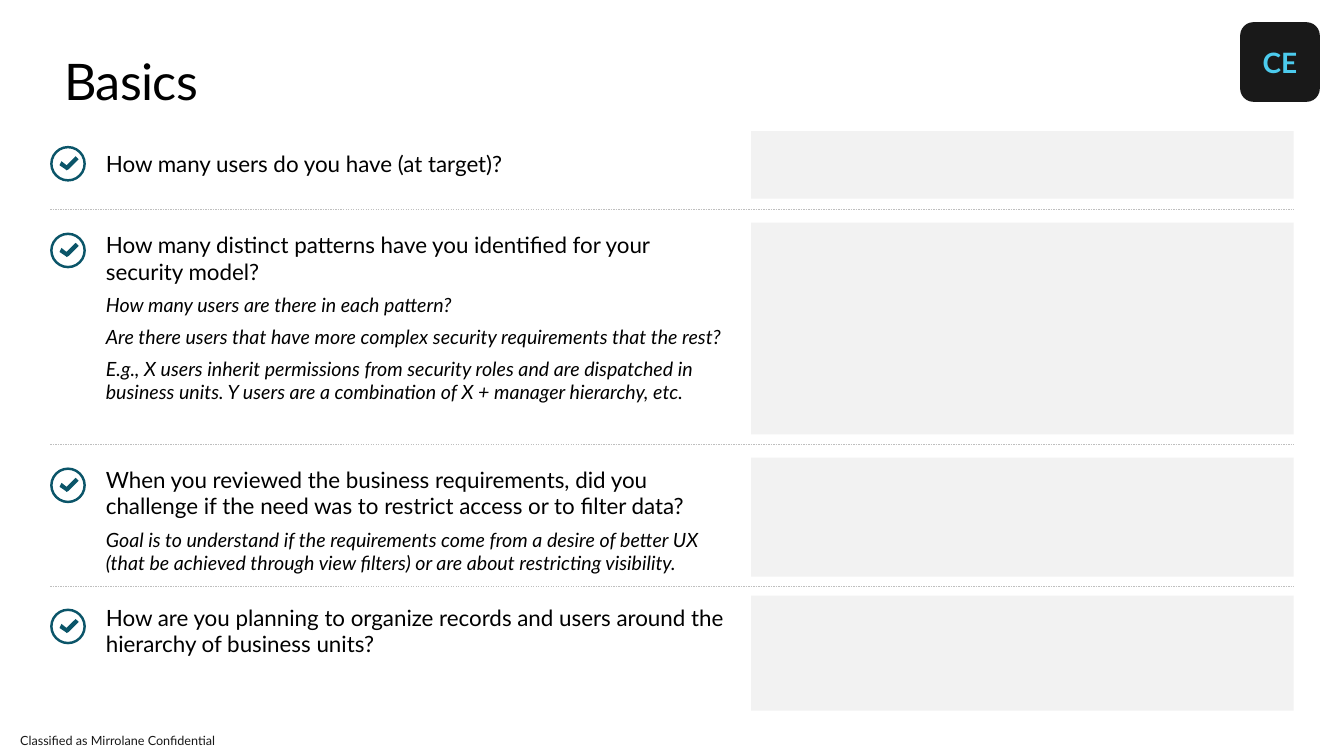
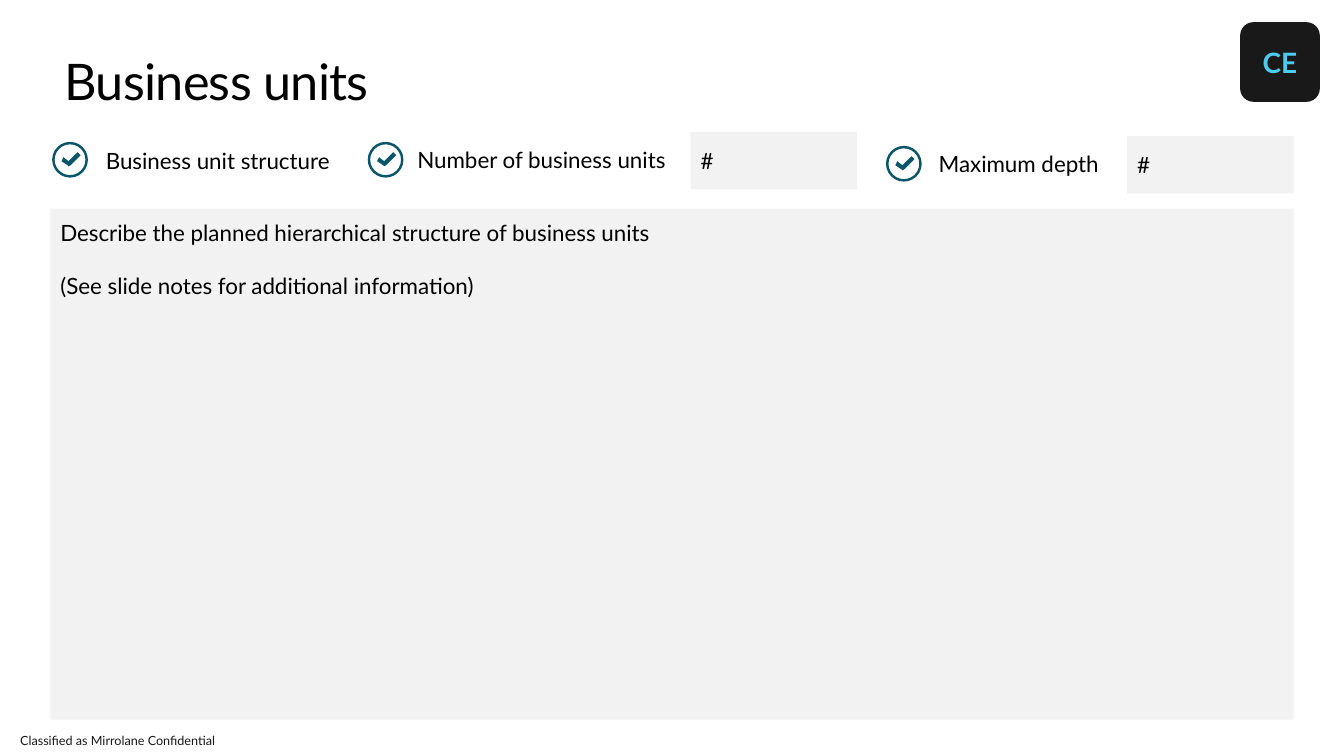
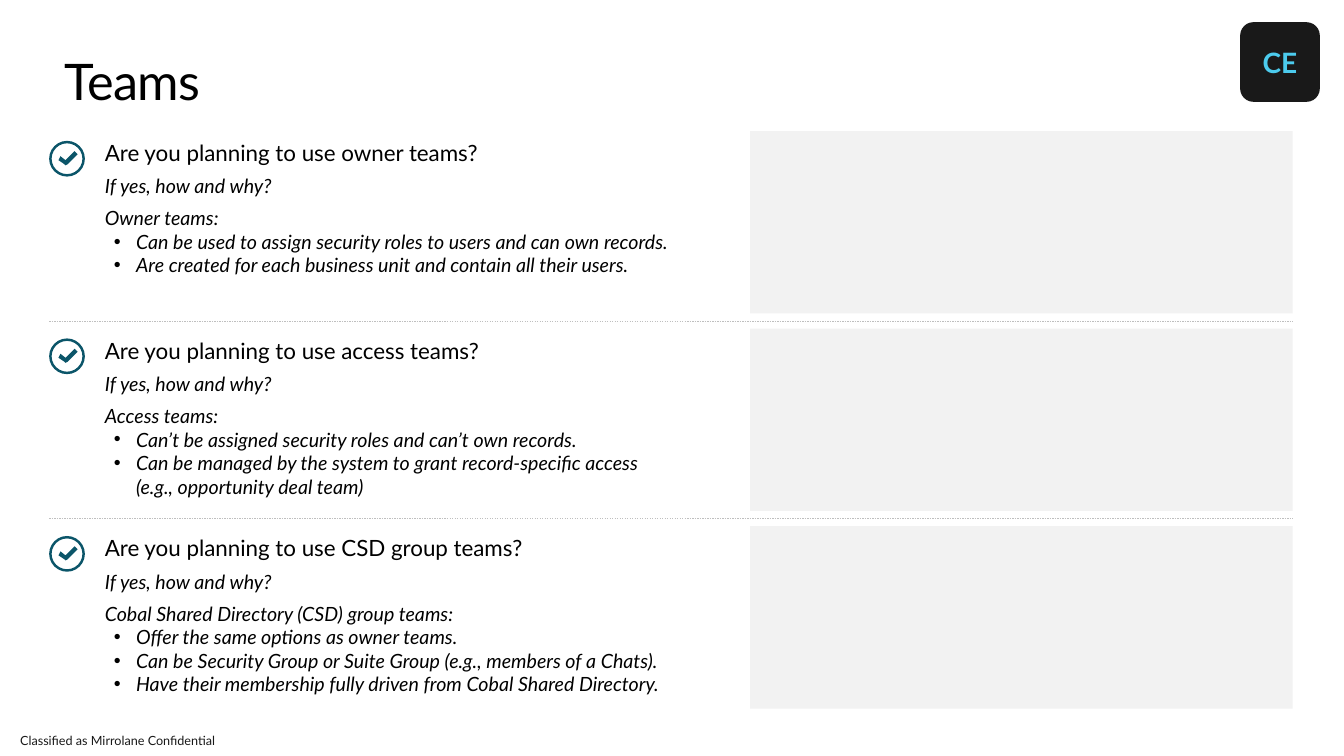
"""Build three security model questionnaire slides: basics, business units and teams."""
from copy import deepcopy

from lxml.etree import SubElement
from pptx import Presentation
from pptx.dml.color import RGBColor
from pptx.enum.dml import MSO_LINE
from pptx.enum.shapes import MSO_CONNECTOR, MSO_SHAPE
from pptx.enum.text import MSO_ANCHOR, PP_ALIGN
from pptx.oxml.ns import qn
from pptx.util import Inches, Pt

BLACK, DARK, TEAL, CYAN = "000000", "191919", "0B5569", "4CCBED"
PANEL, RULE = "F2F2F2", "BFBFBF"
TOP, MIDDLE = MSO_ANCHOR.TOP, MSO_ANCHOR.MIDDLE

HINT_FONT = {"size": Pt(14), "italic": True}
STYLES = {
    "title": ({"size": Pt(36)}, {}, BLACK),
    "footer": ({"size": Pt(9)}, {"line_spacing": 0.9}, DARK),
    "badge": ({"size": Pt(20), "bold": True}, {"alignment": PP_ALIGN.CENTER}, CYAN),
    "question": ({"size": Pt(16)}, {}, BLACK),
    "spaced": ({"size": Pt(16)}, {"space_before": Pt(19)}, BLACK),
    "hint": (HINT_FONT, {"space_before": Pt(6)}, BLACK),
    "bullet": (HINT_FONT, {}, BLACK),
}


def paint(fill, color):
    """Give a shape, line or font fill one solid colour."""
    fill.solid()
    fill.fore_color.rgb = RGBColor.from_string(color)


def add_box(slide, position, paragraphs=(), color=None, anchor=TOP,
            margins=(0.08, 0.08, 0.08, 0.08), outline=MSO_SHAPE.RECTANGLE):
    """Add a text box, or a filled shape when a colour is given."""
    place = [Inches(length) for length in position]
    if color:
        shape = slide.shapes.add_shape(outline, *place)
        shape.shadow.inherit = False
        shape.line.fill.background()
        paint(shape.fill, color)
    else:
        shape = slide.shapes.add_textbox(*place)
    frame = shape.text_frame
    frame.word_wrap = True
    frame.vertical_anchor = anchor
    for side, margin in zip(("left", "top", "right", "bottom"), margins):
        setattr(frame, f"margin_{side}", Inches(margin))
    for index, (style, text) in enumerate(paragraphs):
        paragraph = frame.add_paragraph() if index else frame.paragraphs[0]
        paragraph.text = text
        font_format, paragraph_format, text_color = STYLES[style]
        for name, value in ({"alignment": PP_ALIGN.LEFT} | paragraph_format).items():
            setattr(paragraph, name, value)
        for run in paragraph.runs:
            for name, value in ({"name": "Lato"} | font_format).items():
                setattr(run.font, name, value)
            paint(run.font.fill, text_color)
            if style == "title":
                run.font._element.set("spc", "-50")
        for line_break in paragraph._p.findall(qn("a:br")):
            line_break.append(deepcopy(paragraph.runs[0].font._element))
        if style == "bullet":
            properties = paragraph._p.get_or_add_pPr()
            properties.set("marL", str(Inches(0.31)))
            properties.set("indent", str(Inches(-0.22)))
            SubElement(properties, qn("a:buFont")).set("typeface", "Arial")
            SubElement(properties, qn("a:buChar")).set("char", "•")


presentation = Presentation()
presentation.slide_width = Inches(13.33)
presentation.slide_height = Inches(7.5)

slides = []
for title in ("Basics", "Business units", "Teams"):
    slide = presentation.slides.add_slide(presentation.slide_layouts[6])
    add_box(slide, (0.64, 0.5, 11.4, 0.61), [("title", title)], margins=(0, 0, 0, 0))
    add_box(slide, (0.2, 7.29, 2.32, 0.14), [("footer", "Classified as Mirrolane Confidential")],
            anchor=MIDDLE, margins=(0, 0, 0, 0))
    add_box(slide, (12.3, 0.22, 0.79, 0.79), [("badge", "CE")], DARK, MIDDLE,
            (0, 0, 0, 0), MSO_SHAPE.ROUNDED_RECTANGLE)
    slides.append(slide)
basics, units, teams = slides

basics_rows = [
    (1.3, 0.15, 0.65, 0.67, MIDDLE, [("question", "How many users do you have (at target)?")]),
    (2.21, 0.1, 1.54, 2.1, TOP, [
        ("question", "How many distinct patterns have you identified for your \nsecurity model?"),
        ("hint", "How many users are there in each pattern?"),
        ("hint", "Are there users that have more complex security requirements that the rest?"),
        ("hint", "E.g., X users inherit permissions from security roles and are dispatched in "
                 "business units. Y users are a combination of X + manager hierarchy, etc.")]),
    (4.54, 0.1, 1.26, 1.18, TOP, [
        ("question", "When you reviewed the business requirements, did you challenge if the need "
                     "was to restrict access or to filter data?"),
        ("hint", "Goal is to understand if the requirements come from a desire of better UX "
                 "(that be achieved through view filters) or are about restricting visibility.")]),
    (5.91, 0.13, 1.1, 1.14, TOP, [
        ("question", "How are you planning to organize records and users around the hierarchy "
                     "of business units?")]),
]

team_questions = [
    ("owner", "Owner", [
        "Can be used to assign security roles to users and can own records.",
        "Are created for each business unit and contain all their users."]),
    ("access", "Access", [
        "Can’t be assigned security roles and can’t own records.",
        "Can be managed by the system to grant record-specific access \n"
        "(e.g., opportunity deal team)"]),
    ("CSD group", "Cobal Shared Directory (CSD) group", [
        "Offer the same options as owner teams.",
        "Can be Security Group or Suite Group (e.g., members of a Chats).",
        "Have their membership fully driven from Cobal Shared Directory."]),
]
team_rows = []
for index, (kind, heading, facts) in enumerate(team_questions):
    paragraphs = [("question", f"Are you planning to use {kind} teams?"),
                  ("hint", "If yes, how and why?"), ("hint", f"{heading} teams:")]
    paragraphs += [("bullet", fact) for fact in facts]
    team_rows.append((1.3 + 1.96 * index, 0.1, 1.81, 1.81, TOP, paragraphs))

checks = []
for slide, left, rows, rules in (
        (basics, 0.5, basics_rows, (2.08, 4.41, 5.82)),
        (teams, 0.49, team_rows, (3.19, 5.14))):
    for top, check_drop, text_height, answer_height, anchor, paragraphs in rows:
        add_box(slide, (left + 0.47, top, 6.48, text_height), paragraphs, anchor=anchor)
        add_box(slide, (left + 6.95, top, 5.38, answer_height), color=PANEL)
        checks.append((slide, left, top + check_drop))
    for rule_top in rules:
        rule = slide.shapes.add_connector(
            MSO_CONNECTOR.STRAIGHT, Inches(left), Inches(rule_top),
            Inches(left + 12.33), Inches(rule_top))
        paint(rule.line.fill, RULE)
        rule.line.width = Pt(0.25)
        rule.line.dash_style = MSO_LINE.DASH
        SubElement(rule._element.spPr, qn("a:effectLst"))

for label, position, check_left, check_top in (
        ("Business unit structure", (0.97, 1.3, 2.53, 0.59), 0.52, 1.41),
        ("Number of business units", (4.06, 1.3, 2.74, 0.57), 3.65, 1.41),
        ("Maximum depth", (9.23, 1.35, 1.95, 0.54), 8.79, 1.45)):
    add_box(units, position, [("question", label)], anchor=MIDDLE)
    checks.append((units, check_left, check_top))
for left, top in ((6.85, 1.31), (11.18, 1.35)):
    add_box(units, (left, top, 1.65, 0.57), [("question", "#")], PANEL, MIDDLE,
            (0.1, 0.05, 0.1, 0.05))
add_box(units, (0.5, 2.07, 12.33, 5.07), [
    ("question", "Describe the planned hierarchical structure of business units"),
    ("spaced", "(See slide notes for additional information)")],
    PANEL, margins=(0.1, 0.1, 0.1, 0.05))

tick_points = [(16, 19), (11, 15), (9, 19), (15, 23), (16, 24), (18, 23), (28, 13)]
for slide, left, top in checks:
    ring = slide.shapes.add_shape(MSO_SHAPE.OVAL, Inches(left + 0.01), Inches(top + 0.01),
                                  Inches(0.33), Inches(0.33))
    ring.shadow.inherit = False
    ring.fill.background()
    paint(ring.line.fill, TEAL)
    ring.line.width = Pt(1.75)
    builder = slide.shapes.build_freeform(25, 10, scale=Inches(0.01))
    builder.add_line_segments(tick_points, close=True)
    tick = builder.convert_to_shape(Inches(left), Inches(top))
    tick.shadow.inherit = False
    paint(tick.fill, TEAL)
    tick.line.fill.background()

presentation.save("out.pptx")
